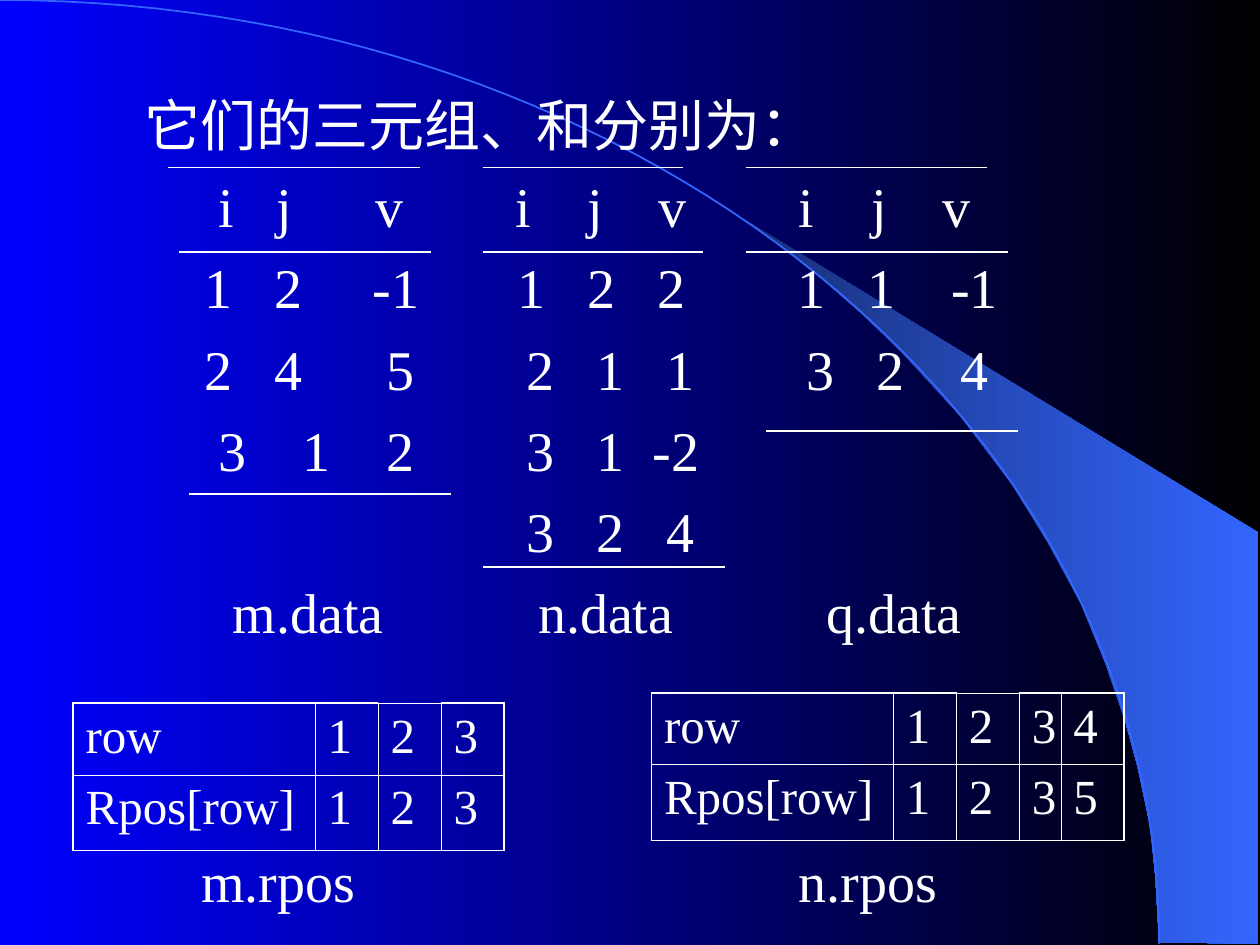
from lxml.etree import SubElement
from pptx import Presentation
from pptx.dml.color import RGBColor
from pptx.enum.shapes import MSO_CONNECTOR
from pptx.enum.text import MSO_AUTO_SIZE
from pptx.oxml.ns import qn
from pptx.util import Inches, Pt

FONT = "Times New Roman"
WHITE, BLUE, NAVY = "FFFFFF", "3366FF", "182F76"
THIN, THICK = 0.45, 1.08
SPACE = 1 / 9  # width in inches of a space at 32 pt

# Each row: its entries, and where each one starts, counted in spaces
TRIPLE_ROWS = [
    (["它们的三元组、和分别为："], [2.7]),
    (["i", "j", "v"] * 3, [8, 12.1, 19.2, 29.2, 34.3, 39.4, 49.4, 54.6, 59.7]),
    (["1", "2", "-1", "1", "2", "2", "1", "1", "-1"],
     [7, 12, 19, 29.3, 34.3, 39.3, 49.3, 54.3, 60.3]),
    (["2", "4", "5", "2", "1", "1", "3", "2", "4"],
     [7, 12, 20, 30, 35, 40, 50, 55, 61]),
    (["3", "1", "2", "3", "1", "-2"], [8, 14, 20, 30, 35, 39]),
    (["3", "2", "4"], [30, 35, 40]),
    (["m.data", "n.data", "q.data"], [9, 30.8, 51.4]),
]
# left, right, height of each rule
RULES = [
    (1.33, 3.33, 1.33), (1.42, 3.42, 2), (1.5, 3.58, 3.92),
    (3.83, 5.42, 1.33), (3.83, 5.58, 2), (3.83, 5.75, 4.5),
    (5.92, 7.83, 1.33), (5.92, 8, 2), (6.08, 8.08, 3.42),
]
ROW_HEIGHTS = [0.57, 0.6]
RPOS_TABLES = [
    {"at": (0.58, 5.58), "widths": [1.92, 0.5, 0.5, 0.5],
     "rows": [["row", "1", "2", "3"], ["Rpos[row]", "1", "2", "3"]],
     "label": "m.rpos", "label_at": (1.5, 1.45)},
    {"at": (5.17, 5.5), "widths": [1.92, 0.5, 0.5, 0.33, 0.5],
     "rows": [["row", "1", "2", "3", "4"], ["Rpos[row]", "1", "2", "3", "5"]],
     "label": "n.rpos", "label_at": (6.24, 1.33)},
]
BEAM = [
    (9.2, 7.48), (9.99, 7.49), (9.99, 4.23), (5.89, 1.73), (6.24, 1.99),
    (6.53, 2.22), (6.85, 2.5), (7.16, 2.8), (7.62, 3.3), (8.03, 3.84),
    (8.32, 4.31), (8.58, 4.79), (8.78, 5.28), (8.93, 5.72), (9.03, 6.09),
    (9.13, 6.56), (9.17, 6.96),
]
ARC = [(0, 0), (5.08, 0), (9.2, 3.35), (9.2, 7.49)]  # Bezier control points
ARC_STEPS = 60


def color(value):
    return RGBColor.from_string(value)


def fill_gradient(fill, start, end):
    fill.gradient()
    fill.gradient_angle = 0
    for stop, position, value in zip(fill.gradient_stops, (0, 1), (start, end)):
        stop.position = position
        stop.color.rgb = color(value)


def bezier(points, t):
    weights = ((1 - t) ** 3, 3 * t * (1 - t) ** 2, 3 * t * t * (1 - t), t ** 3)
    return tuple(sum(w * p[axis] for w, p in zip(weights, points))
                 for axis in (0, 1))


def add_outline(slide, points, close):
    corners = [(Inches(x), Inches(y)) for x, y in points]
    builder = slide.shapes.build_freeform(*corners[0])
    builder.add_line_segments(corners[1:], close=close)
    shape = builder.convert_to_shape()
    shape.shadow.inherit = False
    return shape


def style(paragraph, size, before=0):
    paragraph.font.size = Pt(size)
    paragraph.font.name = FONT
    paragraph.font.color.rgb = color(WHITE)
    paragraph.space_before = Pt(before)


def set_tabs(paragraph, stops):
    tabs = SubElement(paragraph._p.get_or_add_pPr(), qn("a:tabLst"))
    for stop in stops:
        SubElement(tabs, qn("a:tab"), pos=str(Inches(stop)), algn="l")


def set_border(cell, side, width):
    line = SubElement(cell._tc.get_or_add_tcPr(), qn("a:ln" + side),
                      w=str(Pt(width)))
    fill = SubElement(line, qn("a:solidFill"))
    SubElement(fill, qn("a:srgbClr"), val=WHITE)


def add_triples(slide):
    frame = slide.shapes.add_textbox(Inches(0.75), Inches(0.67),
                                     Inches(8.5), Inches(6)).text_frame
    frame.word_wrap = True
    for index, (entries, starts) in enumerate(TRIPLE_ROWS):
        paragraph = frame.add_paragraph() if index else frame.paragraphs[0]
        paragraph.text = "".join("\t" + entry for entry in entries)
        style(paragraph, 32, 8)
        set_tabs(paragraph, [start * SPACE for start in starts])


def add_rule(slide, left, right, y):
    rule = slide.shapes.add_connector(MSO_CONNECTOR.STRAIGHT, Inches(left),
                                      Inches(y), Inches(right), Inches(y))
    rule.line.color.rgb = color(WHITE)
    rule.line.width = Pt(0.75)
    SubElement(rule._element.spPr, qn("a:effectLst"))


def add_rpos(slide, rpos):
    rows, widths = rpos["rows"], rpos["widths"]
    left, top = rpos["at"]
    table = slide.shapes.add_table(
        len(rows), len(widths), Inches(left), Inches(top),
        Inches(sum(widths)), Inches(sum(ROW_HEIGHTS))).table
    table.first_row = table.horz_banding = False
    for column, width in zip(table.columns, widths):
        column.width = Inches(width)
    for row, height in zip(table.rows, ROW_HEIGHTS):
        row.height = Inches(height)
    for r, values in enumerate(rows):
        for c, value in enumerate(values):
            cell = table.cell(r, c)
            cell.text = value
            style(cell.text_frame.paragraphs[0], 28, 7)
            outer = {"L": c == 0, "R": c == len(widths) - 1,
                     "T": r == 0 and c != 2, "B": r == len(rows) - 1}
            for side, is_outer in outer.items():
                set_border(cell, side, THICK if is_outer else THIN)
            cell.fill.background()

    label_left, label_width = rpos["label_at"]
    label = slide.shapes.add_textbox(Inches(label_left), Inches(6.67),
                                     Inches(label_width), Inches(0.64))
    label.text_frame.word_wrap = False
    label.text_frame.auto_size = MSO_AUTO_SIZE.SHAPE_TO_FIT_TEXT
    label.text_frame.text = rpos["label"]
    style(label.text_frame.paragraphs[0], 32)


def main():
    deck = Presentation()
    deck.slide_width, deck.slide_height = Inches(10), Inches(7.5)
    slide = deck.slides.add_slide(deck.slide_layouts[6])
    fill_gradient(slide.background.fill, "0000FF", "000000")

    beam = add_outline(slide, BEAM, close=True)
    fill_gradient(beam.fill, NAVY, BLUE)
    beam.line.fill.background()
    arc = add_outline(slide, [bezier(ARC, step / ARC_STEPS)
                              for step in range(ARC_STEPS + 1)], close=False)
    arc.fill.background()
    arc.line.color.rgb = color(BLUE)
    arc.line.width = Pt(1)

    add_triples(slide)
    for rule in RULES:
        add_rule(slide, *rule)
    for rpos in RPOS_TABLES:
        add_rpos(slide, rpos)
    deck.save("out.pptx")


if __name__ == "__main__":
    main()
